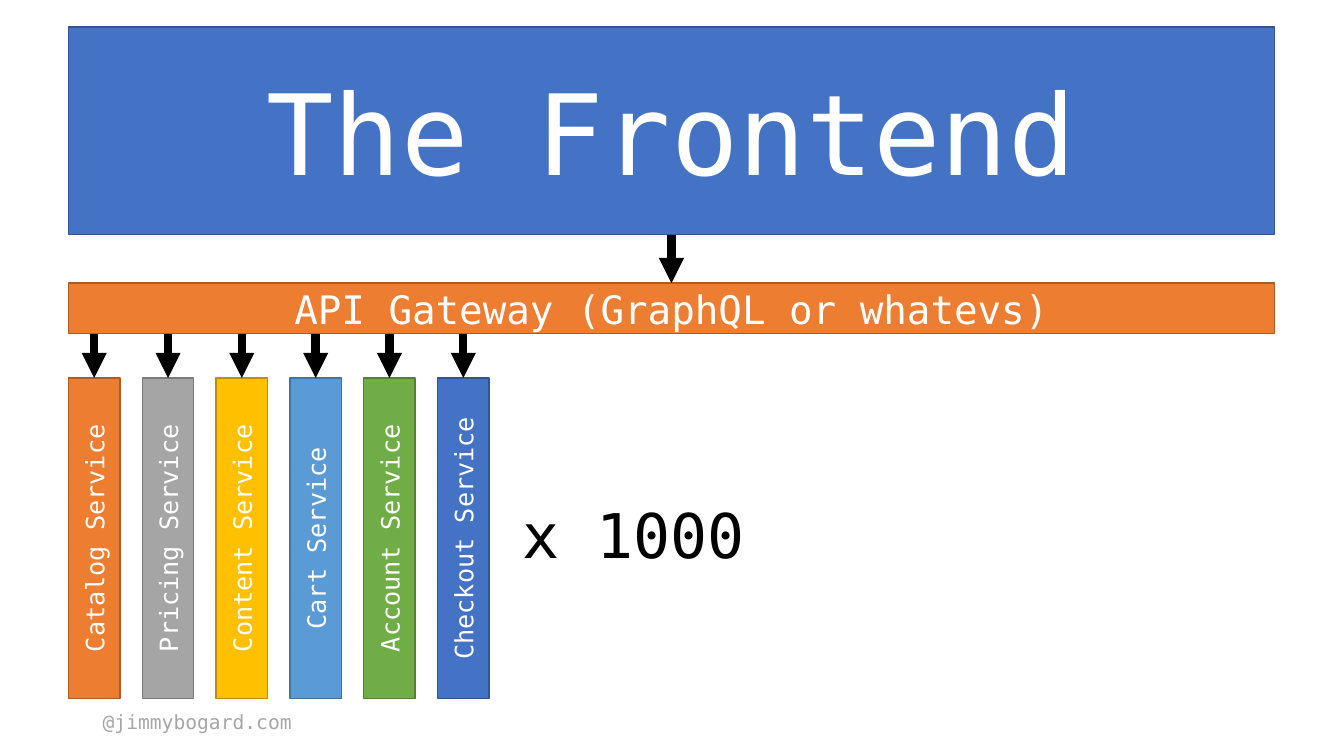
from pptx import Presentation
from pptx import util as u
from pptx.dml.color import RGBColor
from pptx.enum import shapes, text
from pptx.oxml.ns import qn
from lxml import etree

FONT = "DejaVu Sans Mono"
COLORS = {
    "white": "FFFFFF", "black": "000000", "muted": "A6A6A6",
    "blue": "4472C4", "blue edge": "325491",
    "orange": "ED7D31", "orange edge": "AF5C24",
    "gray": "A5A5A5", "gray edge": "7A7A7A",
    "gold": "FFC000", "gold edge": "BD8E00",
    "sky": "5B9BD5", "sky edge": "43739E",
    "green": "70AD47", "green edge": "538035",
}
SERVICES = [
    ("Catalog", "orange"), ("Pricing", "gray"), ("Content", "gold"),
    ("Cart", "sky"), ("Account", "green"), ("Checkout", "blue"),
]
LEFT, WIDTH = 0.68, 11.96
FRONTEND = (LEFT, 0.27, WIDTH, 2.06)
GATEWAY = (LEFT, 2.81, WIDTH, 0.5)
SERVICE_AREA = (LEFT, 3.75, 4.17, 3.18)
SERVICE_WIDTH = 0.51


def color(name):
    return RGBColor.from_string(COLORS[name])


def inches(*lengths):
    return [u.Inches(length) for length in lengths]


def write(shape, words, size, ink):
    shape.text_frame.word_wrap = True
    paragraph = shape.text_frame.paragraphs[0]
    paragraph.text = words
    formats = {"name": FONT, "size": u.Pt(size)}
    for attribute, value in formats.items():
        setattr(paragraph.font, attribute, value)
    paragraph.font.color.rgb = color(ink)
    return paragraph


def add_label(slide, box, words, size, ink):
    write(slide.shapes.add_textbox(*inches(*box)), words, size, ink)


def add_block(slide, box, words, size, fill, upward=False):
    """Draw a filled box with a centred label, which can read upward."""
    shape = slide.shapes.add_shape(shapes.MSO_SHAPE.RECTANGLE, *inches(*box))
    shape.shadow.inherit = False
    shape.fill.solid()
    shape.fill.fore_color.rgb = color(fill)
    shape.line.color.rgb = color(f"{fill} edge")
    shape.line.width = u.Pt(1)
    write(shape, words, size, "white").alignment = text.PP_ALIGN.CENTER
    shape.text_frame.vertical_anchor = text.MSO_ANCHOR.MIDDLE
    if upward:
        next(shape.element.iter(qn("a:bodyPr"))).set("vert", "vert270")


def add_arrow(slide, x, top, bottom):
    arrow = slide.shapes.add_connector(
        shapes.MSO_CONNECTOR.STRAIGHT, *inches(x, top, x, bottom))
    arrow.line.color.rgb = color("black")
    arrow.line.width = u.Pt(6)
    line = next(arrow.element.iter(qn("a:ln")))
    etree.SubElement(line, qn("a:tailEnd"), type="triangle")
    etree.SubElement(line.getparent(), qn("a:effectLst"))


def add_services(slide, box, source_bottom):
    """Spread the services evenly over the box, each fed by an arrow."""
    left, top, width, height = box
    step = (width - SERVICE_WIDTH) / (len(SERVICES) - 1)
    for column, (name, fill) in enumerate(SERVICES):
        x = left + column * step
        add_block(slide, (x, top, SERVICE_WIDTH, height),
                  f"{name} Service", 18, fill, upward=True)
        add_arrow(slide, x + SERVICE_WIDTH / 2, source_bottom, top)
    add_label(slide, (left + width + 0.23, top + 1.13, 2.93, 0.84),
              "x 1000", 44, "black")


def add_architecture(slide):
    frontend_bottom = FRONTEND[1] + FRONTEND[3]
    gateway_bottom = GATEWAY[1] + GATEWAY[3]
    add_block(slide, FRONTEND, "The Frontend", 80, "blue")
    add_block(slide, GATEWAY, "API Gateway (GraphQL or whatevs)", 28, "orange")
    add_arrow(slide, LEFT + WIDTH / 2, frontend_bottom, GATEWAY[1])
    add_services(slide, SERVICE_AREA, gateway_bottom)


def main():
    presentation = Presentation()
    presentation.slide_width, presentation.slide_height = inches(13.33, 7.5)
    slide = presentation.slides.add_slide(presentation.slide_layouts[6])
    add_label(slide, (0.92, 6.99, 3.68, 0.34), "@jimmybogard.com", 14, "muted")
    add_architecture(slide)
    presentation.save("out.pptx")


if __name__ == "__main__":
    main()
